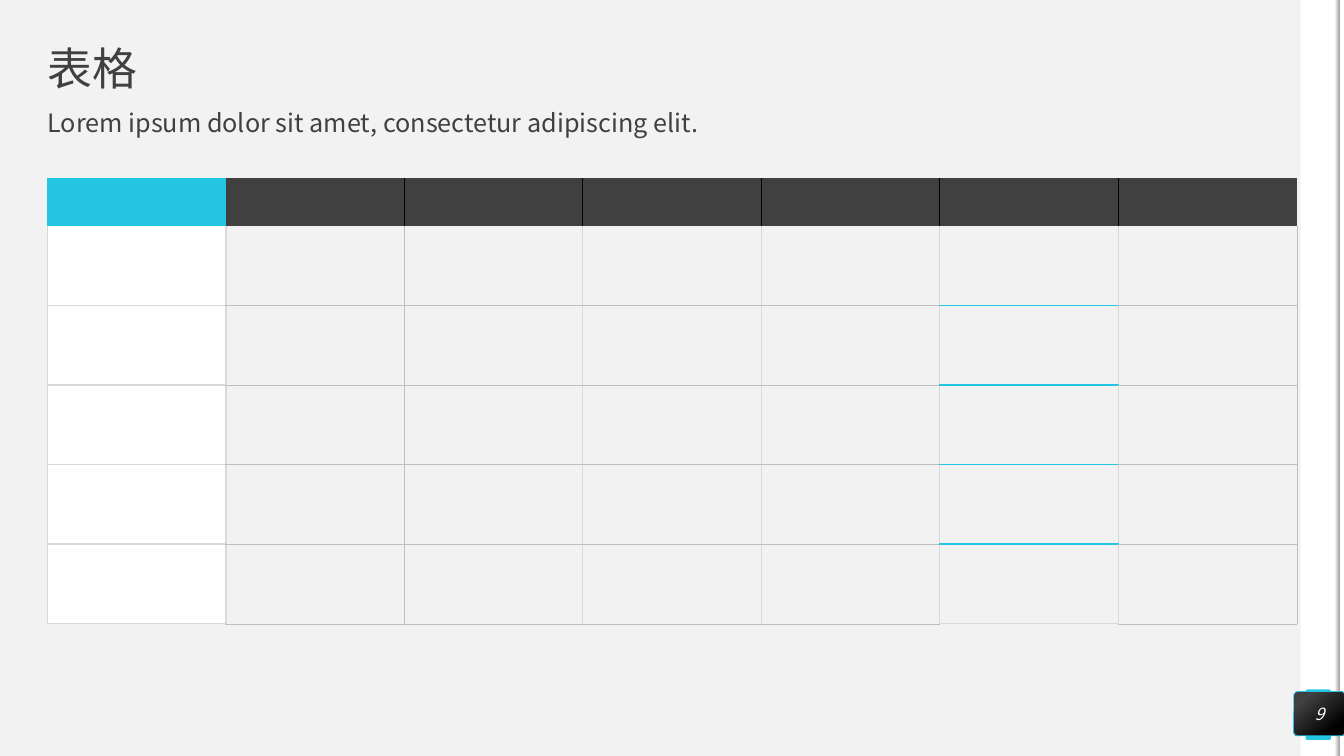
"""Build the table slide with its heading, side strip and page badge."""
from dataclasses import dataclass
from typing import Optional

from lxml import etree
from pptx import Presentation
from pptx.dml.color import RGBColor
from pptx.enum.shapes import MSO_SHAPE
from pptx.enum.text import MSO_ANCHOR, MSO_AUTO_SIZE, PP_ALIGN
from pptx.oxml.ns import qn
from pptx.shapes.autoshape import Shape
from pptx.slide import Slide
from pptx.table import _Cell
from pptx.text.text import TextFrame
from pptx.util import Inches, Pt

RECTANGLE, ROUNDED = MSO_SHAPE.RECTANGLE, MSO_SHAPE.ROUNDED_RECTANGLE
MIDDLE, TOP = MSO_ANCHOR.MIDDLE, MSO_ANCHOR.TOP
LEFT, CENTER = PP_ALIGN.LEFT, PP_ALIGN.CENTER
NO_AUTOFIT = MSO_AUTO_SIZE.NONE

WHITE = RGBColor(0xFF, 0xFF, 0xFF)
BLACK = RGBColor(0x00, 0x00, 0x00)
PALE = RGBColor(0xF2, 0xF2, 0xF2)
LIGHT = RGBColor(0xD9, 0xD9, 0xD9)
GREY = RGBColor(0xBF, 0xBF, 0xBF)
SHADE = RGBColor(0xA6, 0xA6, 0xA6)
DARK = RGBColor(0x40, 0x40, 0x40)
CYAN = RGBColor(0x25, 0xC6, 0xE3)

FONT = "Noto Sans CJK SC"
SLIDE_WIDTH, SLIDE_HEIGHT = Inches(13.33), Inches(7.5)
COLUMNS, ROWS = 7, 6
COLUMN_WIDTH, HEADER_HEIGHT, ROW_HEIGHT = 13.28, 6.27, 10.53
ACCENT_COLUMN = 5


@dataclass(frozen=True)
class Area:
    """A rectangle in percent of the slide's width and height."""
    left: float
    top: float
    width: float
    height: float

    def lengths(self) -> tuple[int, int, int, int]:
        """Return left, top, width and height as slide lengths."""
        return (across(self.left), down(self.top),
                across(self.width), down(self.height))


@dataclass(frozen=True)
class Block:
    """A decorative shape with a plain fill."""
    area: Area
    color: RGBColor
    rounding: Optional[float] = None


@dataclass(frozen=True)
class Border:
    """A cell edge."""
    color: RGBColor
    points: float


RULE = Border(LIGHT, 1)
HAIRLINE = Border(GREY, 0.25)
HEADER_RULE = Border(BLACK, 1)
ACCENT_RULE = Border(CYAN, 1)
HEADER_EDGES = [None, None] + [HEADER_RULE] * 5 + [None]
BODY_EDGES = [RULE, RULE, HAIRLINE, RULE, RULE, RULE, RULE, HAIRLINE]

STRIP = Block(Area(96.77, 0, 2.93, 100), WHITE)
TAB = Block(Area(97.15, 91.2, 1.88, 6.67), CYAN, 0.07)
RIM = Block(Area(99.66, 0, 0.38, 100), WHITE)
FOLD = Block(Area(99.29, 0, 0.38, 100), SHADE)
BADGE = Block(Area(96.25, 91.47, 3.83, 5.87), DARK, 0.1)
TITLE_AREA = Area(3.53, 6.27, 92.95, 6.27)
SUBTITLE_AREA = Area(3.53, 14.67, 93.02, 5.2)
TABLE_AREA = Area(3.53, 23.6, COLUMNS * COLUMN_WIDTH,
                  HEADER_HEIGHT + (ROWS - 1) * ROW_HEIGHT)


def across(percent: float) -> int:
    """Convert a share of the slide's width to a length."""
    return round(SLIDE_WIDTH * percent / 100)


def down(percent: float) -> int:
    """Convert a share of the slide's height to a length."""
    return round(SLIDE_HEIGHT * percent / 100)


def add_block(page: Slide, block: Block) -> Shape:
    """Draw a filled shape without outline or shadow."""
    kind = RECTANGLE if block.rounding is None else ROUNDED
    box = page.shapes.add_shape(kind, *block.area.lengths())
    if block.rounding is not None:
        box.adjustments[0] = block.rounding
    box.shadow.inherit = False
    box.fill.solid()
    box.fill.fore_color.rgb = block.color
    box.line.fill.background()
    return box


def set_gradient(box: Shape, colors: tuple[RGBColor, RGBColor],
                 positions: tuple[float, float], angle: float) -> None:
    """Fill a shape with a two-stop linear gradient."""
    box.fill.gradient()
    box.fill.gradient_angle = angle
    for stop, color, position in zip(box.fill.gradient_stops, colors, positions):
        stop.color.rgb = color
        stop.position = position


def write_line(frame: TextFrame, text: str, size: float, color: RGBColor,
               anchor: MSO_ANCHOR, alignment: PP_ALIGN) -> None:
    """Write one unbulleted paragraph into a frame without margins."""
    frame.margin_left = frame.margin_top = 0
    frame.margin_right = frame.margin_bottom = 0
    frame.word_wrap = True
    frame.auto_size = NO_AUTOFIT
    frame.vertical_anchor = anchor
    para = frame.paragraphs[0]
    para.text = text
    para.alignment = alignment
    para.space_before = Pt(0)
    properties = para._p.get_or_add_pPr()
    properties.set("marL", "0")
    properties.set("indent", "0")
    etree.SubElement(properties, qn("a:buNone"))
    para.font.name = FONT
    para.font.size = Pt(size)
    para.font.color.rgb = color
    defaults = properties.find(qn("a:defRPr"))
    etree.SubElement(defaults, qn("a:ea"), typeface=FONT)


def set_border(cell: _Cell, side: str, border: Optional[Border]) -> None:
    """Append one edge to a cell, empty when there is no border."""
    line = etree.SubElement(cell._tc.get_or_add_tcPr(), qn(f"a:ln{side}"))
    if border is None:
        line.set("w", "0")
        etree.SubElement(line, qn("a:noFill"))
        return
    line.set("w", str(Pt(border.points)))
    fill = etree.SubElement(line, qn("a:solidFill"))
    etree.SubElement(fill, qn("a:srgbClr"), val=str(border.color))


def border_below(row: int, column: int) -> Optional[Border]:
    """Return the horizontal edge under a cell."""
    if row <= 0:
        return None
    if column == ACCENT_COLUMN:
        return RULE if row == ROWS - 1 else ACCENT_RULE
    return RULE if column == 0 else HAIRLINE


def cell_color(row: int, column: int) -> Optional[RGBColor]:
    """Return a cell's fill colour, or none for a clear cell."""
    if row == 0:
        return CYAN if column == 0 else DARK
    return {0: WHITE, ACCENT_COLUMN: PALE}.get(column)


def add_grid(page: Slide) -> None:
    """Draw the empty table with its fills and borders."""
    table = page.shapes.add_table(ROWS, COLUMNS, *TABLE_AREA.lengths()).table
    for column in table.columns:
        column.width = across(COLUMN_WIDTH)
    for index, row in enumerate(table.rows):
        row.height = down(ROW_HEIGHT if index else HEADER_HEIGHT)
        edges = BODY_EDGES if index else HEADER_EDGES
        for position, cell in enumerate(row.cells):
            set_border(cell, "L", edges[position])
            set_border(cell, "R", edges[position + 1])
            set_border(cell, "T", border_below(index - 1, position))
            set_border(cell, "B", border_below(index, position))
            color = cell_color(index, position)
            if color is None:
                cell.fill.background()
            else:
                cell.fill.solid()
                cell.fill.fore_color.rgb = color


def add_heading(page: Slide) -> None:
    """Fill the title and body placeholders."""
    title, subtitle = page.shapes.title, page.placeholders[1]
    for box, area in ((title, TITLE_AREA), (subtitle, SUBTITLE_AREA)):
        box.left, box.top, box.width, box.height = area.lengths()
    write_line(title.text_frame, "表格", 32, DARK, MIDDLE, LEFT)
    write_line(subtitle.text_frame,
               "Lorem ipsum dolor sit amet, consectetur adipiscing elit.",
               18, DARK, TOP, LEFT)
    for box in (title, subtitle):
        box.text_frame.paragraphs[0].line_spacing = 0.9


def add_badge(page: Slide) -> None:
    """Draw the page number badge."""
    badge = add_block(page, BADGE)
    set_gradient(badge, (DARK, BLACK), (0.2, 0.82), 310)
    badge.line.color.rgb = CYAN
    badge.line.width = Pt(0.5)
    write_line(badge.text_frame, "9", 12, WHITE, MIDDLE, CENTER)
    badge.text_frame.paragraphs[0].font.italic = True


def main() -> None:
    """Build and save the deck."""
    deck = Presentation()
    deck.slide_width, deck.slide_height = SLIDE_WIDTH, SLIDE_HEIGHT
    page = deck.slides.add_slide(deck.slide_layouts[1])
    page.background.fill.solid()
    page.background.fill.fore_color.rgb = PALE
    for block in (STRIP, TAB, RIM):
        add_block(page, block)
    set_gradient(add_block(page, FOLD), (WHITE, SHADE), (0, 1), 0)
    add_heading(page)
    add_grid(page)
    add_badge(page)
    deck.save("out.pptx")


if __name__ == "__main__":
    main()
